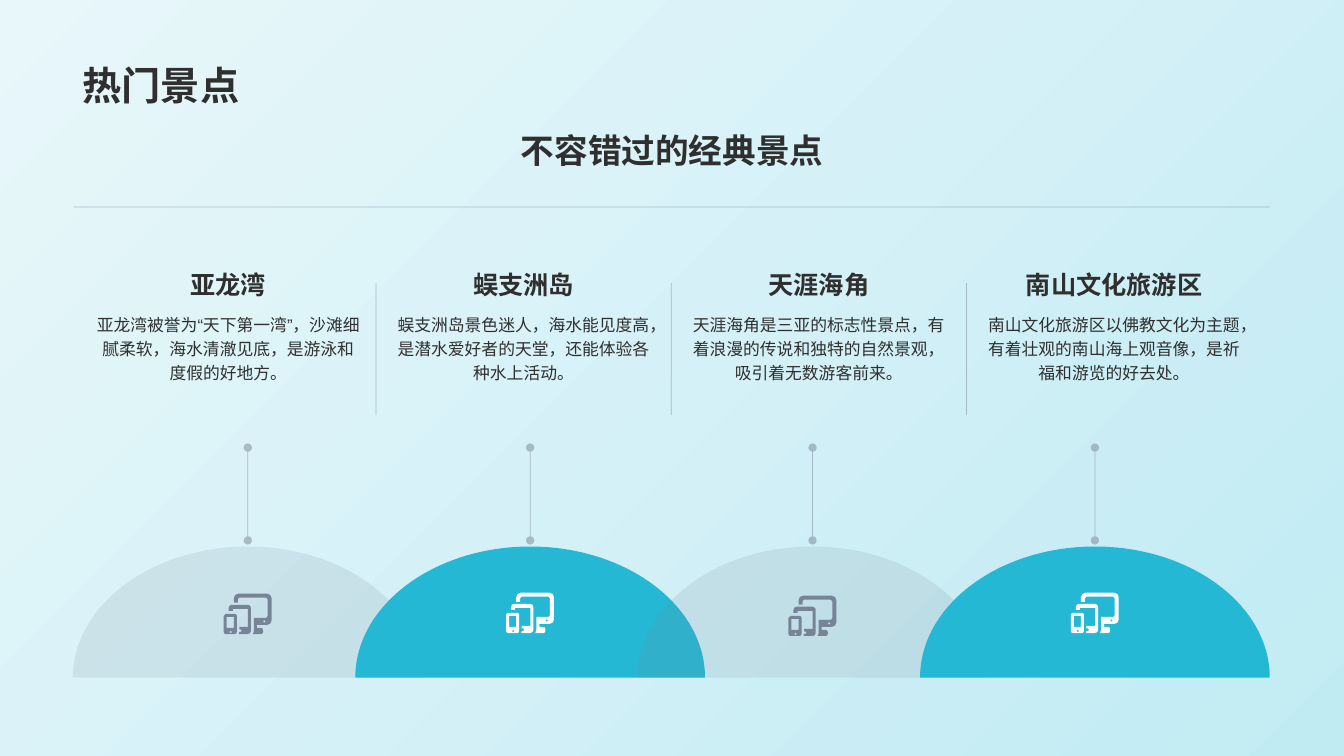
from dataclasses import dataclass

from lxml.etree import SubElement
from pptx import Presentation
from pptx.dml.color import RGBColor
from pptx.enum.shapes import MSO_CONNECTOR, MSO_SHAPE
from pptx.enum.text import MSO_ANCHOR, PP_ALIGN
from pptx.oxml.ns import qn
from pptx.util import Pt


@dataclass(frozen=True)
class Theme:
    font: str = "Arial"
    ink: str = "2F2F2F"
    accent: str = "25B8D5"
    grey: str = "778495"
    white: str = "FFFFFF"
    pale: str = "D3F1F7"
    title: int = 28
    subtitle: int = 24
    heading: int = 18
    body: int = 12


ARC = 0.55
ATTRACTIONS = [
    ("亚龙湾", "亚龙湾被誉为“天下第一湾”，沙滩细腻柔软，海水清澈见底，是游泳和度假的好地方。", 424.1),
    ("蜈支洲岛", "蜈支洲岛景色迷人，海水能见度高，是潜水爱好者的天堂，还能体验各种水上活动。", 423.4),
    ("天涯海角", "天涯海角是三亚的标志性景点，有着浪漫的传说和独特的自然景观，吸引着无数游客前来。", 425.5),
    ("南山文化旅游区", "南山文化旅游区以佛教文化为主题，有着壮观的南山海上观音像，是祈福和游览的好去处。", 423.4),
]

PHONE = [(0, 20, 2), (13, 20, 2), (13, 40, 2), (0, 40, 2)]
PHONE_SCREEN = [(3, 23, 0), (10, 23, 0), (10, 34, 0), (3, 34, 0)]
PHONE_BUTTON = [(5.7, 36.7, 1.3), (8.3, 36.7, 1.3), (8.3, 39.3, 1.3), (5.7, 39.3, 1.3)]
TABLET = [
    (5, 17, 0), (5, 11, 3), (27, 11, 3), (27, 40, 3), (15, 40, 0), (15.5, 38, 0),
    (18, 38, 1.2), (18, 35.5, 1.2), (15.5, 35.5, 0), (15.5, 33, 0),
    (24, 33, 0), (24, 15, 0), (9, 15, 0), (9, 17, 0),
]
MONITOR = [
    (10, 9, 0), (10, 0, 4.5), (47.5, 0, 4.5), (47.5, 31, 4.5), (33, 31, 0), (33, 34, 0),
    (39, 34, 2), (39, 40, 2), (29, 40, 0), (30, 37, 0), (30, 24, 0), (43.5, 24, 2),
    (43.5, 4, 1.5), (14, 4, 1.5), (14, 9, 0),
]
MONITOR_BUTTON = [(39, 26.2, 1.3), (41.6, 26.2, 1.3), (41.6, 28.8, 1.3), (39, 28.8, 1.3)]
DEVICES = [PHONE, PHONE_SCREEN, PHONE_BUTTON, TABLET, MONITOR, MONITOR_BUTTON]


def between(start, end, share):
    return tuple(start[axis] + (end[axis] - start[axis]) * share for axis in (0, 1))


def toward(start, end, distance):
    length = ((end[0] - start[0]) ** 2 + (end[1] - start[1]) ** 2) ** 0.5
    return between(start, end, distance / length)


def curve(start, corner, end):
    return [between(start, corner, ARC), between(end, corner, ARC), end]


def rounded(corners):
    segments = []
    for index, (x, y, radius) in enumerate(corners):
        corner = (x, y)
        if radius:
            start = toward(corner, corners[index - 1], radius)
            end = toward(corner, corners[(index + 1) % len(corners)], radius)
            segments += [[start], curve(start, corner, end)]
        else:
            segments.append([corner])
    return segments


class SlideBuilder:
    def __init__(self, slide, theme):
        self.slide = slide
        self.theme = theme

    def paint(self, fill, color, opacity=100):
        fill.solid()
        fill.fore_color.rgb = RGBColor.from_string(color)
        if opacity < 100:
            element = fill._xPr.find(".//" + qn("a:srgbClr"))
            SubElement(element, qn("a:alpha"), val=str(opacity * 1000))

    def finish(self, shape, color, opacity):
        shape.shadow.inherit = False
        shape.line.fill.background()
        self.paint(shape.fill, color, opacity)

    def background(self):
        fill = self.slide.background.fill
        fill.gradient()
        fill.gradient_angle = 135
        for stop, color in zip(fill.gradient_stops, (self.theme.pale, self.theme.white)):
            stop.color.rgb = RGBColor.from_string(color)

    def rectangle(self, left, top, width, height, color, opacity=100):
        shape = self.slide.shapes.add_shape(
            MSO_SHAPE.RECTANGLE, Pt(left), Pt(top), Pt(width), Pt(height))
        self.finish(shape, color, opacity)

    def outline(self, contours, color, opacity=100, left=0, top=0, unit=1):
        scaled = [[[(Pt(left + x * unit), Pt(top + y * unit)) for x, y in segment]
                   for segment in contour] for contour in contours]
        builder = self.slide.shapes.build_freeform(*scaled[0][0][-1], scale=1.0)
        for index, contour in enumerate(scaled):
            if index:
                builder.move_to(*contour[0][-1])
            builder.add_line_segments([segment[-1] for segment in contour[1:]], close=True)
        shape = builder.convert_to_shape()
        segments = [segment for contour in scaled for segment in contour[1:]]
        for element, segment in zip(list(shape._element.iter(qn("a:lnTo"))), segments):
            if len(segment) == 3:
                parent = element.getparent()
                bezier = SubElement(parent, qn("a:cubicBezTo"))
                for x, y in segment:
                    SubElement(bezier, qn("a:pt"), x=str(x - shape.left), y=str(y - shape.top))
                parent.replace(element, bezier)
        self.finish(shape, color, opacity)

    def dome(self, center, top, width, height, color, opacity):
        left, right, base = center - width / 2, center + width / 2, top + height
        peak = (center, top)
        self.outline([[
            [(left, base)], [(right, base)],
            curve((right, base), (right, top), peak),
            curve(peak, (left, top), (left, base)),
        ]], color, opacity)

    def devices_icon(self, left, top, color):
        self.outline([rounded(part) for part in DEVICES], color, left=left, top=top, unit=0.72)

    def line(self, x1, y1, x2, y2, ends=None):
        connector = self.slide.shapes.add_connector(
            MSO_CONNECTOR.STRAIGHT, Pt(x1), Pt(y1), Pt(x2), Pt(y2))
        connector.line.width = Pt(0.5)
        self.paint(connector.line.fill, self.theme.grey, 50)
        if ends:
            for tag in ("a:headEnd", "a:tailEnd"):
                SubElement(connector.line._ln, qn(tag), type=ends)
        SubElement(connector._element.spPr, qn("a:effectLst"))

    def text(self, left, top, width, height, words, size, bold=False,
             align=PP_ALIGN.CENTER, anchor=MSO_ANCHOR.TOP, spacing=1.0):
        shape = self.slide.shapes.add_textbox(Pt(left), Pt(top), Pt(width), Pt(height))
        frame = shape.text_frame
        frame.word_wrap = True
        frame.vertical_anchor = anchor
        paragraph = frame.paragraphs[0]
        paragraph.alignment = align
        paragraph.line_spacing = spacing
        run = paragraph.add_run()
        run.text = words
        run.font.name = self.theme.font
        run.font.size = Pt(size)
        run.font.bold = bold
        run.font.color.rgb = RGBColor.from_string(self.theme.ink)
        properties = run._r.get_or_add_rPr()
        properties.set("lang", "zh-CN")
        SubElement(properties, qn("a:ea"), typeface=self.theme.font)


def main():
    theme = Theme()
    presentation = Presentation()
    presentation.slide_width, presentation.slide_height = Pt(960), Pt(540)
    builder = SlideBuilder(presentation.slides.add_slide(presentation.slide_layouts[6]), theme)

    builder.background()
    builder.rectangle(0, 0, 960, 540, theme.accent, 10)
    builder.text(52, 10, 855.4, 70.6, "热门景点", theme.title, True,
                 PP_ALIGN.LEFT, MSO_ANCHOR.BOTTOM)
    builder.text(53, 89.3, 854, 46, "不容错过的经典景点", theme.subtitle, True)
    builder.line(53, 147.8, 907, 147.8)

    for index, (name, description, icon_top) in enumerate(ATTRACTIONS):
        column = 61.2 + 210.9 * index
        center = 177 + 201.7 * index
        highlighted = index % 2 == 1
        if index:
            builder.line(column - 3.5, 202.2, column - 3.5, 296.6)
        builder.line(center, 386, center, 319.7, ends="oval")
        builder.text(column, 218.2, 203.8, 92.9, description, theme.body, spacing=1.2)
        builder.text(column, 167, 203.8, 50.4, name, theme.heading, True,
                     anchor=MSO_ANCHOR.BOTTOM)
        builder.dome(center, 390.4, 249.8, 93.6,
                     theme.accent if highlighted else theme.grey, 100 if highlighted else 15)
        builder.devices_icon(center - 17.2, icon_top, theme.white if highlighted else theme.grey)

    presentation.save("out.pptx")


if __name__ == "__main__":
    main()
